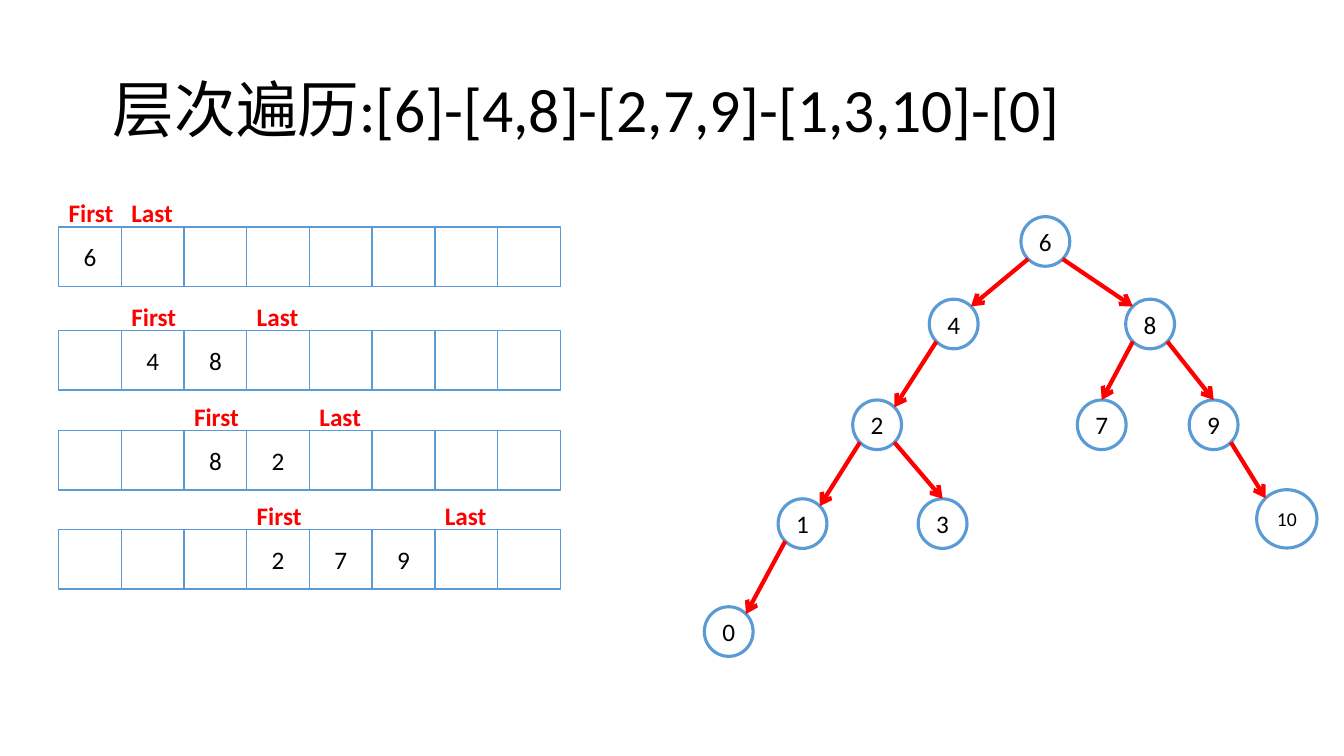
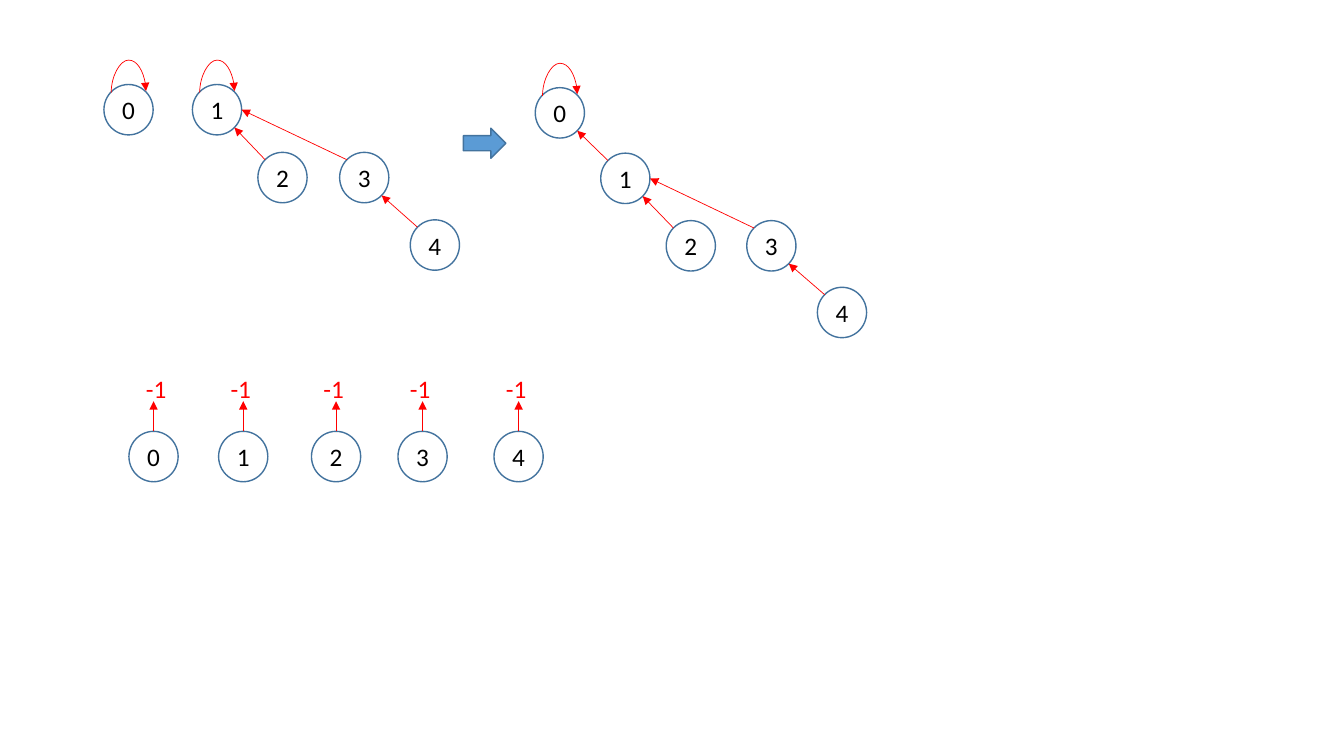
from dataclasses import dataclass
from math import cos, radians, sin

from lxml.etree import SubElement
from pptx import Presentation
from pptx.dml.color import RGBColor
from pptx.enum.shapes import MSO_CONNECTOR, MSO_SHAPE
from pptx.enum.text import MSO_ANCHOR, MSO_AUTO_SIZE, PP_ALIGN
from pptx.oxml.ns import qn
from pptx.util import Cm, Pt


@dataclass(frozen=True)
class Theme:
    font: str = "Calibri"
    black: RGBColor = RGBColor(0, 0, 0)
    white: RGBColor = RGBColor(255, 255, 255)
    red: RGBColor = RGBColor(255, 0, 0)
    blue: RGBColor = RGBColor(0x5B, 0x9B, 0xD5)
    navy: RGBColor = RGBColor(0x43, 0x73, 0x9E)
    title: int = 44
    body: int = 18
    small: int = 14
    thin: float = 0.5
    edge: float = 1
    ring: float = 2.25
    thick: float = 3


THEME = Theme()
CELL_W, CELL_H, ROW_LEFT = 1.58, 1.5, 1.48
LABEL_W, LABEL_H, LABEL_UP = 1.75, 1.02, 0.86
TREE_SIZE = (1.23, 1.25)
SET_SIZE = (1.24, 1.27)
TOP, TOP_LEFT, LOW_LEFT, LOW_RIGHT, RIGHT, TOP_RIGHT = 0, 1, 3, 5, 6, 7

TREE = {
    "6": (25.73, 5.46), "4": (23.42, 7.54), "8": (28.37, 7.54),
    "2": (21.49, 10.08), "3": (23.14, 12.57), "7": (27.15, 10.08),
    "9": (29.97, 10.08), "1": (19.61, 12.57), "0": (17.75, 15.29),
}
TREE_LINKS = [
    ("6", LOW_LEFT, "4", TOP_RIGHT), ("4", LOW_LEFT, "2", TOP_RIGHT),
    ("2", LOW_LEFT, "1", TOP_RIGHT), ("1", LOW_LEFT, "0", TOP_RIGHT),
    ("2", LOW_RIGHT, "3", TOP), ("8", LOW_RIGHT, "9", TOP),
    ("8", LOW_LEFT, "7", TOP), ("9", LOW_RIGHT, "10", TOP_LEFT),
    ("6", LOW_RIGHT, "8", TOP_LEFT),
]
QUEUES = [
    (5.72, 0, "6", 1), (8.33, 1, "48", 3),
    (10.85, 2, "82", 4), (13.34, 3, "279", 6),
]
SET_LINKS = [
    ("2", TOP_LEFT, "1", LOW_RIGHT), ("4", TOP_LEFT, "3", LOW_RIGHT),
    ("3", TOP_LEFT, "1", RIGHT),
]
BEFORE = {"0": (2.62, 2.13), "1": (4.85, 2.13), "2": (6.5, 3.84),
          "3": (8.56, 3.84), "4": (10.34, 5.54)}
AFTER = {"0": (13.49, 2.21), "1": (15.14, 3.86), "2": (16.79, 5.56),
         "3": (18.82, 5.56), "4": (20.6, 7.24)}
SINGLES = [(3.25, 3.43), (5.51, 5.56), (7.85, 7.9), (10.03, 10.08), (12.45, 12.5)]


def apply(target, values):
    for name, value in values.items():
        setattr(target, name, value)


def write(frame, text, size, color=THEME.black, bold=False, align=PP_ALIGN.LEFT):
    frame.text = text
    line = frame.paragraphs[0]
    line.alignment = align
    apply(line.font, {"name": THEME.font, "size": Pt(size), "bold": bold})
    line.font.color.rgb = color


def add_box(shapes, kind, box, fill, edge, width, text="", size=THEME.body):
    shape = shapes.add_shape(kind, *map(Cm, box))
    shape.shadow.inherit = False
    shape.fill.solid()
    shape.fill.fore_color.rgb = fill
    shape.line.color.rgb = edge
    shape.line.width = Pt(width)
    if text:
        frame = shape.text_frame
        apply(frame, {"margin_left": 0, "margin_right": 0, "margin_top": 0,
                      "margin_bottom": 0, "vertical_anchor": MSO_ANCHOR.MIDDLE})
        write(frame, text, size, align=PP_ALIGN.CENTER)
    return shape


def add_label(shapes, box, text, bold=False, wrap=True):
    frame = shapes.add_textbox(*map(Cm, box)).text_frame
    apply(frame, {"word_wrap": wrap, "auto_size": MSO_AUTO_SIZE.SHAPE_TO_FIT_TEXT})
    write(frame, text, THEME.body, THEME.red, bold)


def site(shape, index):
    angle = radians(90 + 45 * index)
    x = shape.left + shape.width / 2 * (1 + cos(angle))
    y = shape.top + shape.height / 2 * (1 - sin(angle))
    return round(x), round(y)


def glue(line, tag, shape, index):
    host = line._element.find(".//" + qn("p:cNvCxnSpPr"))
    SubElement(host, qn(tag), id=str(shape.shape_id), idx=str(index))


def add_arrow(shapes, start, end, width, head, kind=MSO_CONNECTOR.STRAIGHT):
    line = shapes.add_connector(kind, *start, *end)
    line.line.color.rgb = THEME.red
    line.line.width = Pt(width)
    props = line._element.spPr
    SubElement(props.find(qn("a:ln")), qn("a:tailEnd"), type=head)
    SubElement(props, qn("a:effectLst"))
    return line


def add_links(shapes, nodes, links, width, head):
    for first, out, last, into in links:
        start, end = nodes[first], nodes[last]
        line = add_arrow(shapes, site(start, out), site(end, into), width, head)
        glue(line, "a:stCxn", start, out)
        glue(line, "a:endCxn", end, into)


def add_loop(shapes, node):
    start, end = site(node, TOP_LEFT), site(node, TOP_RIGHT)
    line = add_arrow(shapes, start, end, THEME.thin, "triangle", MSO_CONNECTOR.CURVE)
    glue(line, "a:stCxn", node, TOP_LEFT)
    glue(line, "a:endCxn", node, TOP_RIGHT)
    span, depth = end[0] - start[0], Cm(0.04)
    apply(line, {"left": (start[0] + end[0] - depth) // 2,
                 "top": start[1] - span // 2, "width": depth, "height": span})
    frame = line._element.spPr.find(qn("a:xfrm"))
    for name, value in {"rot": "5400000", "flipH": "1", "flipV": "1"}.items():
        frame.set(name, value)
    guides = line._element.spPr.find(".//" + qn("a:avLst"))
    SubElement(guides, qn("a:gd"), name="adj1", fmla="val 2050000")


def add_tree(shapes):
    def ring(name, box, size):
        return add_box(shapes, MSO_SHAPE.OVAL, box, THEME.white,
                       THEME.blue, THEME.ring, name, size)

    nodes = {name: ring(name, spot + TREE_SIZE, THEME.body)
             for name, spot in TREE.items()}
    nodes["10"] = ring("10", (31.67, 12.34, 1.52, 1.47), THEME.small)
    add_links(shapes, nodes, TREE_LINKS, THEME.thick, "arrow")


def add_queue(shapes, top, first, items, last):
    row = shapes.add_group_shape().shapes
    for slot in range(8):
        inside = first <= slot < first + len(items)
        box = (ROW_LEFT + slot * CELL_W, top, CELL_W, CELL_H)
        add_box(row, MSO_SHAPE.RECTANGLE, box, THEME.white, THEME.blue,
                THEME.edge, items[slot - first] if inside else "")
    for text, slot in (("Last", last), ("First", first)):
        box = (ROW_LEFT + slot * CELL_W, top - LABEL_UP, LABEL_W, LABEL_H)
        add_label(shapes, box, text, bold=True)


def add_node(shapes, name, spot):
    return add_box(shapes, MSO_SHAPE.OVAL, spot + SET_SIZE, THEME.white,
                   THEME.navy, THEME.edge, name)


def add_sets(shapes, spots, roots, links):
    nodes = {name: add_node(shapes, name, spot) for name, spot in spots.items()}
    for root in roots:
        add_loop(shapes, nodes[root])
    add_links(shapes, nodes, links, THEME.thin, "triangle")


def add_title(slide, text):
    title = slide.shapes.title
    apply(title, {"left": Cm(2.59), "top": Cm(0.99),
                  "width": Cm(29.21), "height": Cm(3.68)})
    apply(title.text_frame, {"vertical_anchor": MSO_ANCHOR.MIDDLE, "word_wrap": True,
                             "auto_size": MSO_AUTO_SIZE.NONE})
    write(title.text_frame, text, THEME.title)
    title.text_frame.paragraphs[0].line_spacing = 0.9


def draw_levels(deck):
    slide = deck.slides.add_slide(deck.slide_layouts[5])
    add_title(slide, "层次遍历:[6]-[4,8]-[2,7,9]-[1,3,10]-[0]")
    add_tree(slide.shapes.add_group_shape().shapes)
    for queue in QUEUES:
        add_queue(slide.shapes, *queue)


def draw_union(deck):
    shapes = deck.slides.add_slide(deck.slide_layouts[6]).shapes
    add_sets(shapes, BEFORE, "01", SET_LINKS)
    add_sets(shapes, AFTER, "0", SET_LINKS + [("1", TOP_LEFT, "0", LOW_RIGHT)])
    add_box(shapes, MSO_SHAPE.RIGHT_ARROW, (11.68, 3.23, 1.07, 0.76),
            THEME.blue, THEME.navy, THEME.edge)
    for index, (left, label) in enumerate(SINGLES):
        node = add_node(shapes, str(index), (left, 10.87))
        x, y = site(node, TOP)
        line = add_arrow(shapes, (x, y), (x, Cm(10.11)), THEME.thin, "triangle")
        glue(line, "a:stCxn", node, TOP)
        add_label(shapes, (label, 9.28, 1.04, LABEL_H), "-1", wrap=False)


def main():
    deck = Presentation()
    apply(deck, {"slide_width": Cm(33.87), "slide_height": Cm(19.05)})
    draw_levels(deck)
    draw_union(deck)
    deck.save("out.pptx")


if __name__ == "__main__":
    main()
